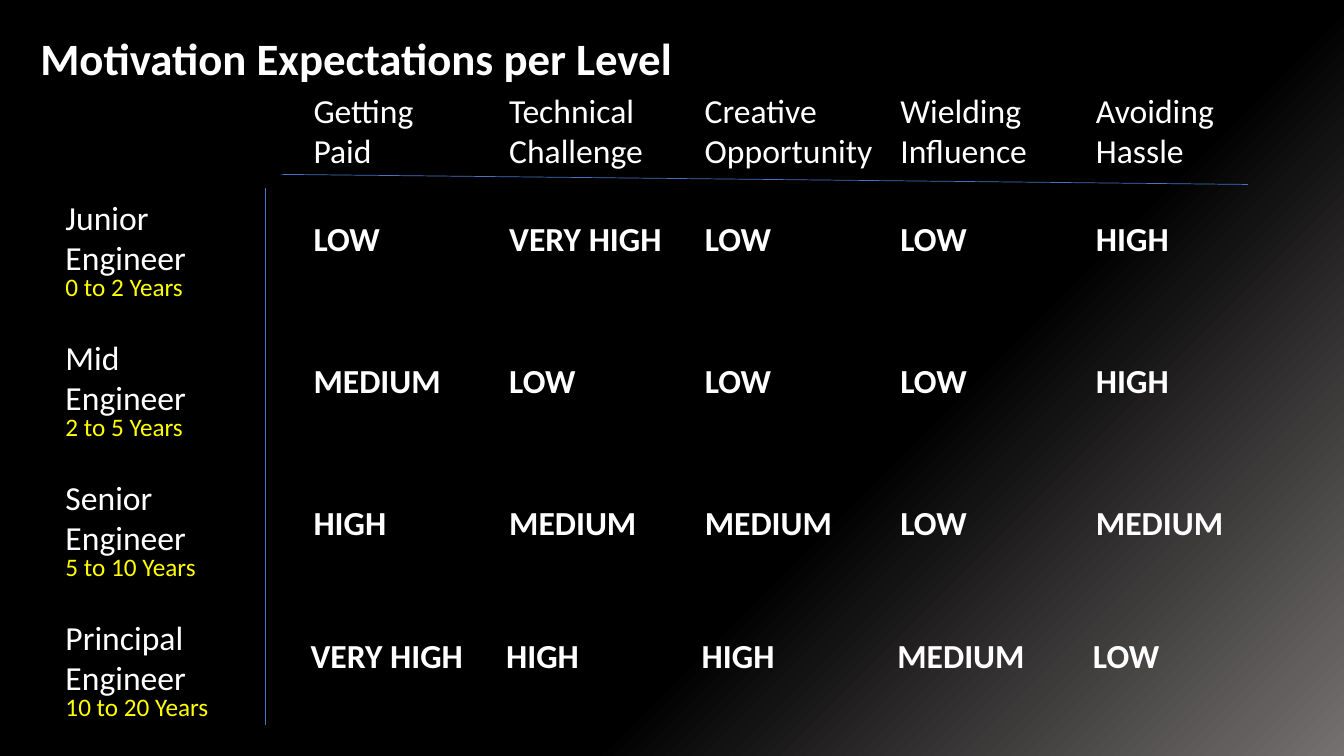
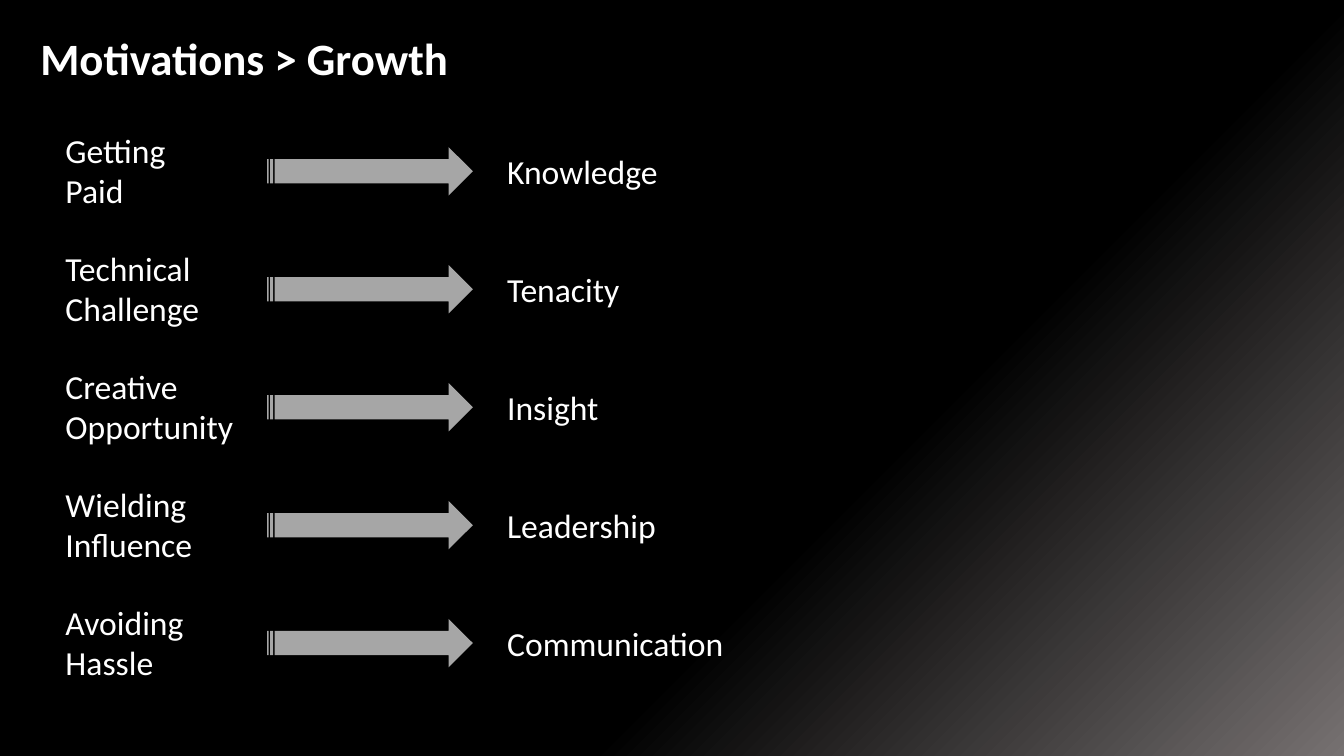
"""Build two slides on what motivates engineers at each level."""
from dataclasses import dataclass

from lxml.etree import SubElement
from pptx import Presentation
from pptx.dml.color import RGBColor
from pptx.enum.shapes import MSO_CONNECTOR, MSO_SHAPE
from pptx.enum.text import MSO_ANCHOR, MSO_AUTO_SIZE
from pptx.oxml.ns import qn
from pptx.util import Inches, Pt


@dataclass(frozen=True)
class Theme:
    """Colours, font and type sizes of the deck."""
    font: str = "Calibri"
    text: str = "FFFFFF"
    accent: str = "FFFF00"
    rule: str = "4472C4"
    arrow: str = "A6A6A6"
    dark: str = "000000"
    glow: str = "767171"
    title_size: int = 32
    body_size: int = 24
    note_size: int = 18
    rule_width: float = 0.5


@dataclass(frozen=True)
class Grid:
    """Evenly spaced columns and rows, in inches."""
    left: float
    top: float
    column_step: float = 0
    row_step: float = 0

    def at(self, column=0, row=0):
        """Return the left and top of a cell."""
        return self.left + column * self.column_step, self.top + row * self.row_step


THEME = Theme()
WIDTH, HEIGHT = 13.33, 7.5
LABEL_SIZE = (2.14, 0.81)
NOTE_SIZE = (2.14, 0.3)
RATING_SIZE = (1.69, 0.4)
ARROW_SIZE = (2.04, 0.48)
COLUMN_STEP = 1.94

LEVEL_GRID = Grid(0.65, 1.95, row_step=1.39)
YEARS_GRID = Grid(0.65, 2.69, row_step=1.39)
HEADING_GRID = Grid(3.11, 0.89, COLUMN_STEP)
RATING_GRID = Grid(3.11, 2.16, COLUMN_STEP, 1.41)
LAST_RATING_GRID = Grid(3.08, 6.3, COLUMN_STEP)

GROWTH_STEP = 1.17
MOTIVE_GRID = Grid(0.65, 1.29, row_step=GROWTH_STEP)
ARROW_GRID = Grid(2.65, 1.46, row_step=GROWTH_STEP)
OUTCOME_GRID = Grid(5.03, 1.29, row_step=GROWTH_STEP)

MOTIVES = ["Getting\nPaid", "Technical\nChallenge", "Creative\nOpportunity",
           "Wielding\nInfluence", "Avoiding\nHassle"]
OUTCOMES = ["Knowledge", "Tenacity", "Insight", "Leadership", "Communication"]
LEVELS = [
    ("Junior\nEngineer", "0 to 2 Years", ["LOW", "VERY HIGH", "LOW", "LOW", "HIGH"]),
    ("Mid\nEngineer", "2 to 5 Years", ["MEDIUM", "LOW", "LOW", "LOW", "HIGH"]),
    ("Senior\nEngineer", "5 to 10 Years", ["HIGH", "MEDIUM", "MEDIUM", "LOW", "MEDIUM"]),
    ("Principal\nEngineer", "10 to 20 Years", ["VERY HIGH", "HIGH", "HIGH", "MEDIUM", "LOW"]),
]


def inches(*lengths):
    """Convert lengths in inches to slide units."""
    return [Inches(length) for length in lengths]


def add_text(page, text, position, extent, *, size=THEME.body_size, color=THEME.text,
             bold=False, anchor=MSO_ANCHOR.TOP, insets=(0, 0, 0, 0), grow=True):
    """Add a wrapped text box in one format."""
    box = page.shapes.add_textbox(*inches(*position, *extent))
    frame = box.text_frame
    frame.word_wrap = True
    frame.auto_size = MSO_AUTO_SIZE.SHAPE_TO_FIT_TEXT if grow else MSO_AUTO_SIZE.NONE
    frame.vertical_anchor = anchor
    (frame.margin_left, frame.margin_top,
     frame.margin_right, frame.margin_bottom) = inches(*insets)
    para = frame.paragraphs[0]
    para.text = text.replace("\n", "\v")
    for span in para.runs:
        span.font.name = THEME.font
        span.font.size = Pt(size)
        span.font.bold = bold
        span.font.color.rgb = RGBColor.from_string(color)


def add_rule(page, start, end):
    """Add a thin straight line without a shadow."""
    rule = page.shapes.add_connector(MSO_CONNECTOR.STRAIGHT, *inches(*start, *end))
    rule.line.color.rgb = RGBColor.from_string(THEME.rule)
    rule.line.width = Pt(THEME.rule_width)
    SubElement(rule._element.spPr, qn("a:effectLst"))


def add_arrow(page, position):
    """Add a striped arrow pointing right."""
    arrow = page.shapes.add_shape(MSO_SHAPE.STRIPED_RIGHT_ARROW,
                                  *inches(*position, *ARROW_SIZE))
    arrow.shadow.inherit = False
    arrow.fill.solid()
    arrow.fill.fore_color.rgb = RGBColor.from_string(THEME.arrow)
    arrow.line.fill.background()


def add_page(deck, title):
    """Add a blank page with the shared background and title."""
    page = deck.slides.add_slide(deck.slide_layouts[6])
    fill = page.background.fill
    fill.gradient()
    fill.gradient_angle = 315
    for stop, position, color in zip(fill.gradient_stops, (0.64, 1), (THEME.dark, THEME.glow)):
        stop.position = position
        stop.color.rgb = RGBColor.from_string(color)
    add_text(page, title, (0, 0), (WIDTH, 0.12 * HEIGHT), size=THEME.title_size,
             bold=True, insets=(0.4, 0.3, 0.1, 0.05), grow=False)
    return page


def add_expectations(deck):
    """Add the matrix of levels and motivations."""
    page = add_page(deck, "Motivation Expectations per Level")
    for column, motive in enumerate(MOTIVES):
        add_text(page, motive, HEADING_GRID.at(column), LABEL_SIZE)
    add_rule(page, (2.63, 1.87), (2.63, 7.19))
    add_rule(page, (2.79, 1.73), (12.38, 1.83))
    for row, (level, years, ratings) in enumerate(LEVELS):
        add_text(page, level, LEVEL_GRID.at(row=row), LABEL_SIZE)
        add_text(page, years, YEARS_GRID.at(row=row), NOTE_SIZE,
                 size=THEME.note_size, color=THEME.accent)
        is_last = row == len(LEVELS) - 1
        for column, rating in enumerate(ratings):
            position = LAST_RATING_GRID.at(column) if is_last else RATING_GRID.at(column, row)
            add_text(page, rating, position, RATING_SIZE, bold=True)


def add_growth(deck):
    """Add the motivations and the growth each leads to."""
    page = add_page(deck, "Motivations > Growth")
    for row, (motive, outcome) in enumerate(zip(MOTIVES, OUTCOMES)):
        add_text(page, motive, MOTIVE_GRID.at(row=row), LABEL_SIZE)
        add_arrow(page, ARROW_GRID.at(row=row))
        add_text(page, outcome, OUTCOME_GRID.at(row=row), (2.65, 0.81),
                 anchor=MSO_ANCHOR.MIDDLE, grow=False)


def main():
    """Build and save the deck."""
    deck = Presentation()
    deck.slide_width, deck.slide_height = inches(WIDTH, HEIGHT)
    add_expectations(deck)
    add_growth(deck)
    deck.save("out.pptx")


if __name__ == "__main__":
    main()
